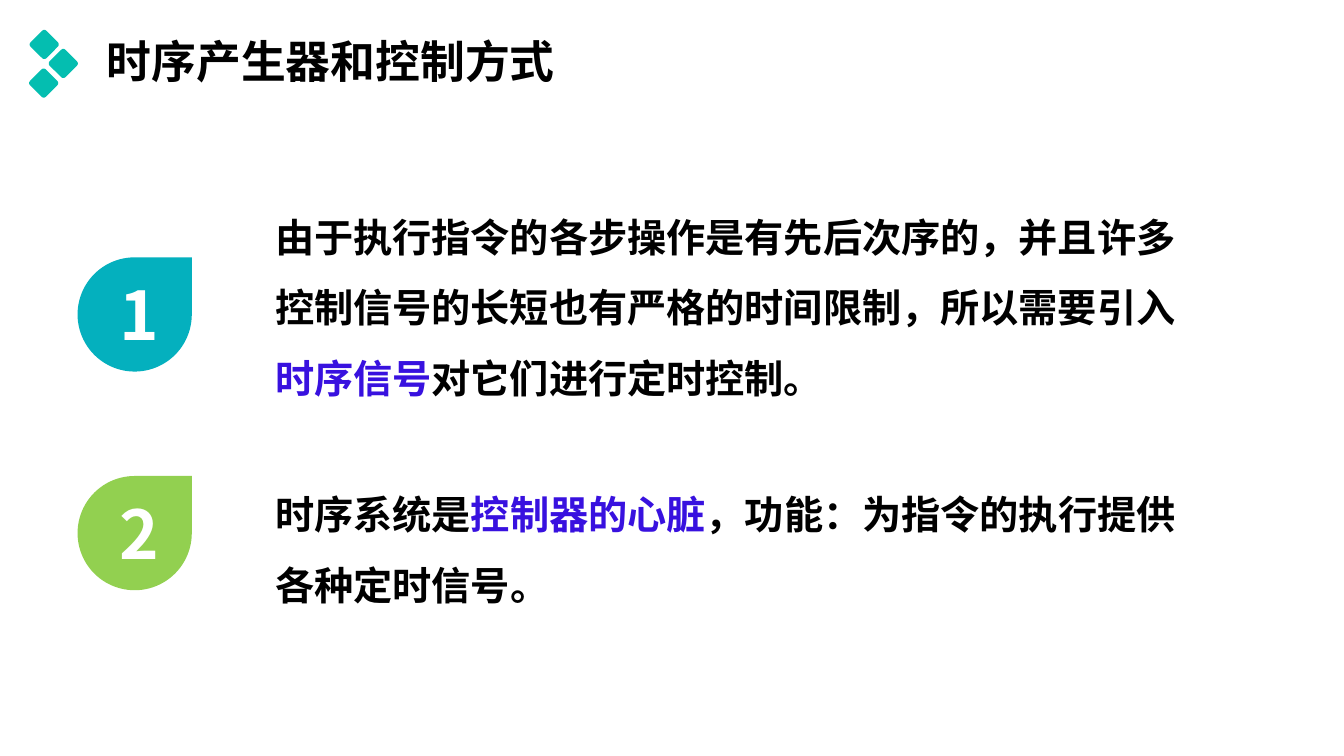
from lxml import etree
from pptx import Presentation
from pptx.dml.color import RGBColor
from pptx.enum import shapes, text
from pptx.oxml import ns
from pptx.util import Pt

FONT = "Noto Sans CJK SC"
BLACK = RGBColor(0x00, 0x00, 0x00)
WHITE = RGBColor(0xFF, 0xFF, 0xFF)
KEYWORD = RGBColor(0x38, 0x11, 0xDF)
MINT = RGBColor(0x04, 0xBE, 0xB0)
TEAL = RGBColor(0x04, 0xB0, 0xBE)
GREEN = RGBColor(0x92, 0xD0, 0x50)

DIAMOND_SIDE = 16
DIAMOND_CENTRES = [(31.6, 31.8), (45.2, 45.4), (31.2, 59.4)]
DROP_LEFT = 55.4
DROP_SIZE = 81.6
TEXT_LEFT = 189.4
TEXT_WIDTH = 681


def place(shape, left, top, width, height):
    shape.left, shape.top = Pt(left), Pt(top)
    shape.width, shape.height = Pt(width), Pt(height)


def add_text_box(slide, left, top, width, height):
    return slide.shapes.add_textbox(Pt(left), Pt(top), Pt(width), Pt(height))


def write(shape, runs, size, line_spacing=1.0, anchor=text.MSO_ANCHOR.TOP):
    frame = shape.text_frame
    frame.word_wrap = True
    frame.auto_size = text.MSO_AUTO_SIZE.NONE
    frame.vertical_anchor = anchor
    paragraph = frame.paragraphs[0]
    paragraph.alignment = text.PP_ALIGN.LEFT
    paragraph.line_spacing = line_spacing
    paragraph.space_before = Pt(0)
    for wording, colour in runs:
        run = paragraph.add_run()
        run.text = wording
        run.font.size = Pt(size)
        run.font.bold = True
        run.font.color.rgb = colour
        run.font.name = FONT
        east_asian = etree.SubElement(run.font._element, ns.qn("a:ea"))
        east_asian.set("typeface", FONT)
    return paragraph


def remove_bullet(paragraph):
    properties = paragraph._p.get_or_add_pPr()
    properties.set("marL", "0")
    properties.set("indent", "0")
    etree.SubElement(properties, ns.qn("a:buNone"))


def add_filled_shape(slide, kind, left, top, size, colour):
    shape = slide.shapes.add_shape(kind, Pt(left), Pt(top), Pt(size), Pt(size))
    shape.shadow.inherit = False
    shape.fill.solid()
    shape.fill.fore_color.rgb = colour
    shape.line.fill.background()
    return shape


def add_diamond(slide, centre_x, centre_y):
    half = DIAMOND_SIDE / 2
    diamond = add_filled_shape(
        slide, shapes.MSO_SHAPE.ROUNDED_RECTANGLE,
        centre_x - half, centre_y - half, DIAMOND_SIDE, MINT)
    diamond.adjustments[0] = 0.13
    diamond.rotation = 45


def add_numbered_drop(slide, number, top, colour):
    add_filled_shape(slide, shapes.MSO_SHAPE.TEAR, DROP_LEFT, top, DROP_SIZE, colour)
    label = add_text_box(slide, 78.5, top + 8, 58, 65.5)
    write(label, [(number, WHITE)], 48)


def main():
    presentation = Presentation()
    presentation.slide_width = Pt(960)
    presentation.slide_height = Pt(540)
    slide = presentation.slides.add_slide(presentation.slide_layouts[1])

    title = slide.shapes.title
    place(title, 69, 16, 495, 60)
    write(title, [("时序产生器和控制方式", BLACK)], 32, 0.9, text.MSO_ANCHOR.MIDDLE)

    for centre_x, centre_y in DIAMOND_CENTRES:
        add_diamond(slide, centre_x, centre_y)

    add_numbered_drop(slide, "1", 183.8, TEAL)
    add_numbered_drop(slide, "2", 340, GREEN)

    reason = add_text_box(slide, TEXT_LEFT, 131.8, TEXT_WIDTH, 160)
    write(reason, [
        ("由于执行指令的各步操作是有先后次序的，并且许多控制信号的长短也有严格的时间限制，所以需要引入", BLACK),
        ("时序信号", KEYWORD),
        ("对它们进行定时控制。", BLACK),
    ], 28, 1.5)

    purpose = slide.placeholders[1]
    place(purpose, TEXT_LEFT, 329.8, TEXT_WIDTH, 244)
    remove_bullet(write(purpose, [
        ("时序系统是", BLACK),
        ("控制器的心脏", KEYWORD),
        ("，功能：为指令的执行提供各种定时信号。", BLACK),
    ], 28, 1.5))

    presentation.save("out.pptx")


if __name__ == "__main__":
    main()
